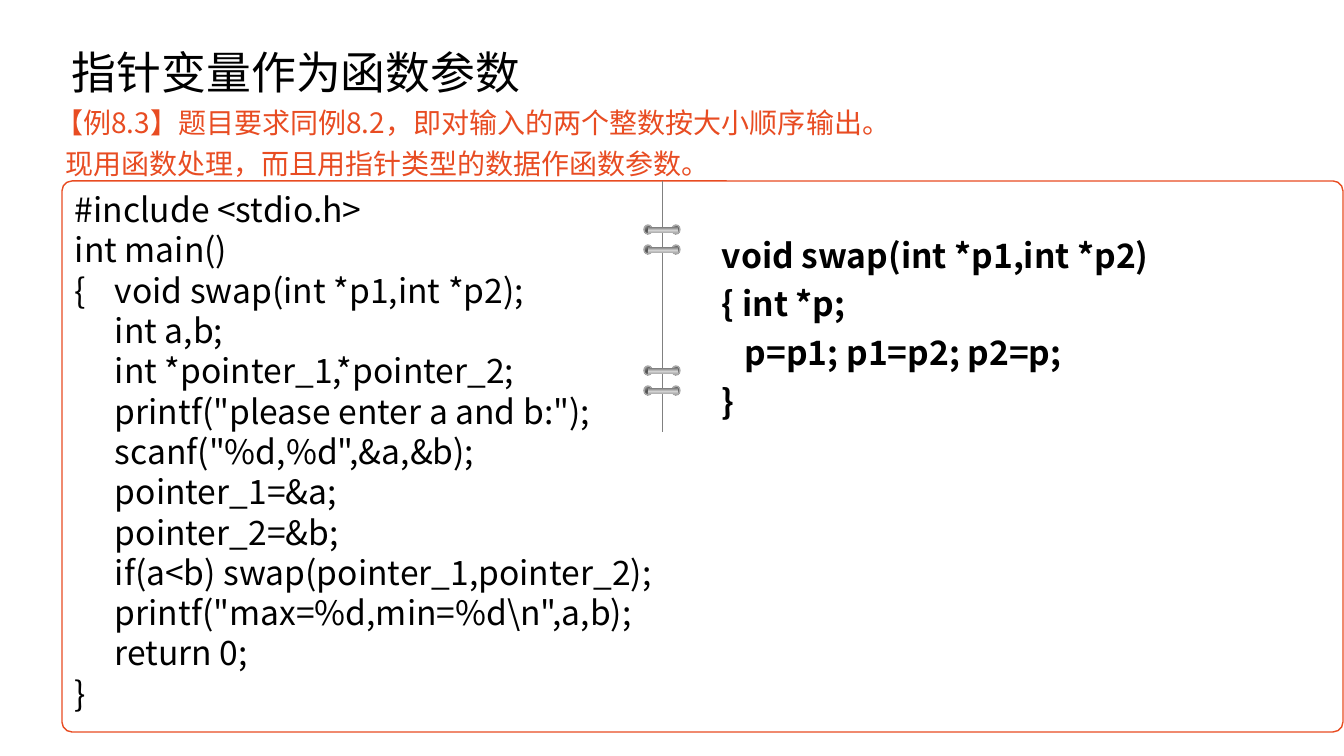
from lxml import etree
from pptx import Presentation
from pptx.dml.color import RGBColor
from pptx.enum.shapes import MSO_CONNECTOR, MSO_SHAPE
from pptx.enum.text import MSO_ANCHOR, PP_ALIGN
from pptx.oxml import parse_xml
from pptx.oxml.ns import nsdecls, qn
from pptx.util import Pt

STRAIGHT = MSO_CONNECTOR.STRAIGHT
ROUNDED, OVAL, RECT = MSO_SHAPE.ROUNDED_RECTANGLE, MSO_SHAPE.OVAL, MSO_SHAPE.RECTANGLE
TOP, MIDDLE = MSO_ANCHOR.TOP, MSO_ANCHOR.MIDDLE
LEFT = PP_ALIGN.LEFT

EMU_PER_PX = 914400 / 100.8
FONT = "Noto Sans CJK SC"
COLORS = {"text": "000000", "accent": "E84C22", "panel": "FFFFFF",
          "divider": "808080", "ring": "A9A9A9"}
HOLE_STOPS = [(20, "808080"), (51, "525252"), (86, "A5A5A5")]
BAR_STOPS = [(9, "808080"), (57, "D2D2D2"), (98, "AEAEAE")]
CIRCULAR = '<a:path path="circle"><a:fillToRect l="100000" t="100000"/></a:path>'
VERTICAL = '<a:lin ang="5400000" scaled="0"/>'

MAIN_CODE = r'''#include <stdio.h>
int main()
{	void swap(int *p1,int *p2);
	int a,b;
	int *pointer_1,*pointer_2;
	printf("please enter a and b:");
	scanf("%d,%d",&a,&b);
	pointer_1=&a;
	pointer_2=&b;
	if(a<b) swap(pointer_1,pointer_2);
	printf("max=%d,min=%d\n",a,b);
	return 0;
}'''
SWAP_CODE = '''void swap(int *p1,int *p2)
{ int *p;
   p=p1; p1=p2; p2=p;
}'''


def px(n):
    return round(n * EMU_PER_PX)


def rgb(name):
    return RGBColor.from_string(COLORS[name])


def write_text(sp, text, size, color="text", bold=False, anchor=TOP,
               spacing=None, before=0, hanging=0, tab=0):
    tf = sp.text_frame
    tf.word_wrap = True
    tf.vertical_anchor = anchor
    tf.margin_left = tf.margin_right = px(10)
    tf.margin_top = tf.margin_bottom = px(5)
    for i, line in enumerate(text.split("\n")):
        p = tf.paragraphs[0] if i == 0 else tf.add_paragraph()
        p.alignment = LEFT
        if spacing:
            p.line_spacing = spacing
        p.space_before = Pt(before if i else 0)
        pPr = p._p.get_or_add_pPr()
        if hanging:
            pPr.set("marL", str(px(hanging)))
            pPr.set("indent", str(-px(hanging)))
        if tab:
            tabs = etree.SubElement(pPr, qn("a:tabLst"))
            etree.SubElement(tabs, qn("a:tab"), pos=str(px(tab)), algn="l")
        r = p.add_run()
        r.text = line
        r.font.size = Pt(size)
        r.font.bold = bold
        r.font.name = FONT
        r.font.color.rgb = rgb(color)
        ea = etree.SubElement(r._r.get_or_add_rPr(), qn("a:ea"))
        ea.set("typeface", FONT)


def add_text(slide, x, y, w, h, text, size, **fmt):
    sp = slide.shapes.add_textbox(px(x), px(y), px(w), px(h))
    write_text(sp, text, size, **fmt)


def add_shape(shapes, kind, x, y, w, h, line=None):
    sp = shapes.add_shape(kind, px(x), px(y), px(w), px(h))
    sp.shadow.inherit = False
    if line:
        sp.line.color.rgb = rgb(line)
        sp.line.width = Pt(1)
    else:
        sp.line.fill.background()
    return sp


def fill_gradient(sp, stops, direction):
    gs = "".join(f'<a:gs pos="{pos * 1000}"><a:srgbClr val="{color}"/></a:gs>'
                 for pos, color in stops)
    grad = parse_xml(f'<a:gradFill {nsdecls("a")} rotWithShape="1">'
                     f'<a:gsLst>{gs}</a:gsLst>{direction}</a:gradFill>')
    sp._element.spPr.find(qn("a:prstGeom")).addnext(grad)


def add_ring(shapes, y):
    for x in (672, 644):
        hole = add_shape(shapes, OVAL, x, y, 8, 9, line="ring")
        fill_gradient(hole, HOLE_STOPS, CIRCULAR)
    bar = add_shape(shapes, RECT, 648, y + 2, 30, 6)
    fill_gradient(bar, BAR_STOPS, VERTICAL)


def add_ring_pair(slide, y):
    group = slide.shapes.add_group_shape()
    for ring_y in (y, y + 20):
        add_ring(group.shapes, ring_y)


def add_divider(slide, x, top, bottom):
    line = slide.shapes.add_connector(STRAIGHT, px(x), px(top), px(x), px(bottom))
    line.line.color.rgb = rgb("divider")
    line.line.width = Pt(0.5)
    etree.SubElement(line._element.spPr, qn("a:effectLst"))


def main():
    prs = Presentation()
    prs.slide_width, prs.slide_height = px(1344), px(756)
    slide = prs.slides.add_slide(prs.slide_layouts[6])

    add_text(slide, 62, 2, 1159, 146, "指针变量作为函数参数", 32,
             anchor=MIDDLE, spacing=0.9)
    add_text(slide, 45, 94, 842, 60,
             "【例8.3】题目要求同例8.2，即对输入的两个整数按大小顺序输出。"
             "现用函数处理，而且用指针类型的数据作函数参数。",
             20, color="accent", spacing=1.2, hanging=10)

    panel = add_shape(slide.shapes, ROUNDED, 62, 181, 1281, 551, line="accent")
    panel.adjustments[0] = 0.018
    panel.fill.solid()
    panel.fill.fore_color.rgb = rgb("panel")
    write_text(panel, MAIN_CODE, 24, tab=40)
    add_text(slide, 712, 228, 610, 210, SWAP_CODE, 24,
             bold=True, spacing=Pt(30), before=4.8)

    add_divider(slide, 662, 181, 432)
    for y in (225, 366):
        add_ring_pair(slide, y)
    prs.save("out.pptx")


if __name__ == "__main__":
    main()
